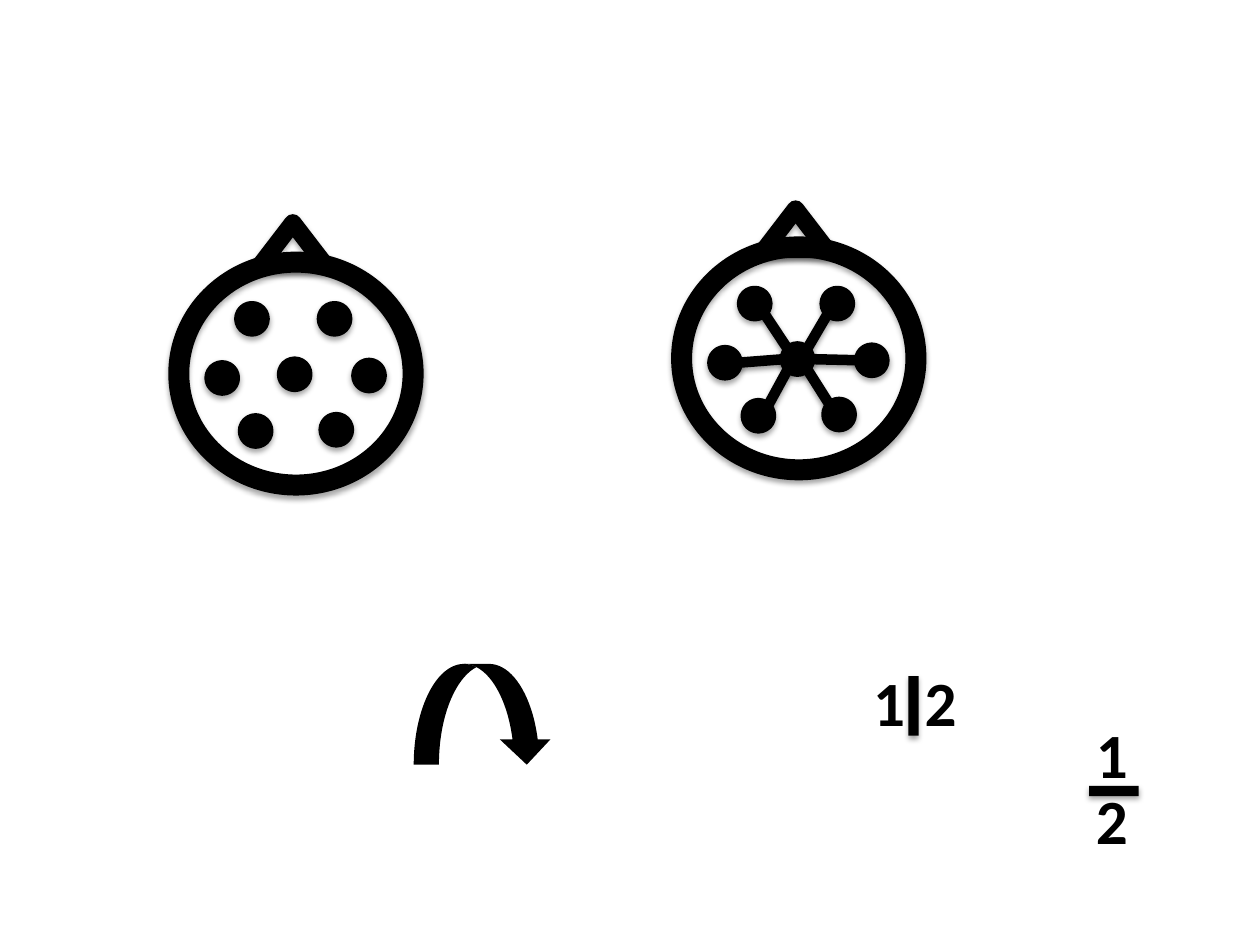
import math
from typing import NamedTuple, Optional

import pptx
import pptx.dml.color
import pptx.enum.shapes
import pptx.enum.text
import pptx.oxml
import pptx.oxml.ns
import pptx.util

Pt = pptx.util.Pt
SHAPE = pptx.enum.shapes.MSO_SHAPE
COLORS = {"ink": "000000"}
FONT = "Calibri"

RING_W, RING_H = 133.9, 127.4
NOSE_W, NOSE_H = 35.3, 23.0
DOT = 14.4


class Point(NamedTuple):
    x: float
    y: float


class Head(NamedTuple):
    left: float
    top: float
    nose_top: float
    has_spokes: bool


class Shadow(NamedTuple):
    blur: float
    distance: float
    opacity: int


class Label(NamedTuple):
    text: str
    left: float
    top: float


SHAPE_SHADOW = Shadow(3.1, 1.8, 35)
LINE_SHADOW = Shadow(3.1, 1.6, 38)

# Dot centres, measured from the corner of the ring
HUB = Point(66.2, 64.1)
OUTER_DOTS = [Point(41.8, 32.4), Point(89, 32.4), Point(108.7, 64.8),
              Point(24.8, 66.2), Point(43.9, 96.5), Point(90, 95.8)]
HEADS = [Head(102.2, 149.8, 127.4, False), Head(389.5, 141.1, 119.5, True)]

SIDE_LABELS = [Label("1", 491.8, 375.8), Label("2", 521.3, 375.8)]
FRACTION_LABELS = [Label("1", 619.2, 405.4), Label("2", 619.2, 442.8)]


def rgb(name: str) -> pptx.dml.color.RGBColor:
    return pptx.dml.color.RGBColor.from_string(COLORS[name])


def set_shadow(sp, shadow: Optional[Shadow]) -> None:
    """Replace the theme's shadow; call after the line has been set."""
    inner = ""
    if shadow:
        inner = (f'<a:outerShdw blurRad="{Pt(shadow.blur)}" dist="{Pt(shadow.distance)}" '
                 f'dir="5400000" rotWithShape="0"><a:srgbClr val="{COLORS["ink"]}">'
                 f'<a:alpha val="{shadow.opacity * 1000}"/></a:srgbClr></a:outerShdw>')
    ns = pptx.oxml.ns.nsdecls("a")
    sp._element.spPr.append(
        pptx.oxml.parse_xml(f"<a:effectLst {ns}>{inner}</a:effectLst>"))


def add_shape(shapes, kind, left: float, top: float, width: float, height: float, *,
              filled: bool = True, line: float = 0, round_join: bool = False,
              shadow: Optional[Shadow] = SHAPE_SHADOW):
    sp = shapes.add_shape(kind, Pt(left), Pt(top), Pt(width), Pt(height))
    if filled:
        sp.fill.solid()
        sp.fill.fore_color.rgb = rgb("ink")
    else:
        sp.fill.background()
    if line:
        sp.line.color.rgb = rgb("ink")
        sp.line.width = Pt(line)
    else:
        sp.line.fill.background()
    if round_join:
        ln = sp._element.spPr.find(pptx.oxml.ns.qn("a:ln"))
        ln.append(pptx.oxml.parse_xml(f'<a:round {pptx.oxml.ns.nsdecls("a")}/>'))
    set_shadow(sp, shadow)
    return sp


def add_spoke(shapes, dot: Point, hub: Point) -> None:
    """Join two dots at the rim points nearest in steps of 45 degrees."""
    step = math.pi / 4
    angle = round(math.atan2(hub.y - dot.y, hub.x - dot.x) / step) * step
    dx, dy = DOT / 2 * math.cos(angle), DOT / 2 * math.sin(angle)
    cxn = shapes.add_connector(pptx.enum.shapes.MSO_CONNECTOR.STRAIGHT,
                               Pt(dot.x + dx), Pt(dot.y + dy),
                               Pt(hub.x - dx), Pt(hub.y - dy))
    cxn.line.color.rgb = rgb("ink")
    cxn.line.width = Pt(6)
    set_shadow(cxn, LINE_SHADOW)


def add_head(shapes, head: Head) -> None:
    grp = shapes.add_group_shape().shapes
    add_shape(grp, SHAPE.OVAL, head.left, head.top, RING_W, RING_H,
              filled=False, line=12)
    add_shape(grp, SHAPE.ISOSCELES_TRIANGLE, head.left + 47.5, head.nose_top,
              NOSE_W, NOSE_H, filled=False, line=10, round_join=True)
    hub, *outer = [Point(head.left + p.x, head.top + p.y) for p in [HUB, *OUTER_DOTS]]
    for dot in [hub, *outer]:
        add_shape(grp, SHAPE.OVAL, dot.x - DOT / 2, dot.y - DOT / 2, DOT, DOT, line=6)
    if head.has_spokes:
        for dot in outer:
            add_spoke(grp, dot, hub)


def add_text(shapes, text: str, left: float, top: float, *, size: float = 36,
             bold: bool = True, color: str = "ink") -> None:
    tb = shapes.add_textbox(Pt(left), Pt(top), Pt(33.1), Pt(51.1))
    tf = tb.text_frame
    tf.word_wrap = False
    tf.auto_size = pptx.enum.text.MSO_AUTO_SIZE.SHAPE_TO_FIT_TEXT
    r = tf.paragraphs[0].add_run()
    r.text = text
    r.font.name = FONT
    r.font.size = Pt(size)
    r.font.bold = bold
    r.font.color.rgb = rgb(color)


def main() -> None:
    prs = pptx.Presentation()
    prs.slide_width, prs.slide_height = Pt(720), Pt(540)
    shapes = prs.slides.add_slide(prs.slide_layouts[6]).shapes

    # Heads with electrode dots
    for head in HEADS:
        add_head(shapes, head)

    # Curved arrow
    add_shape(shapes, SHAPE.CURVED_DOWN_ARROW, 236.4, 379.4, 79, 57.6, shadow=None)

    # Digits side by side, with an upright bar
    add_shape(shapes, SHAPE.RECTANGLE, 519.1, 386.4, 5.8, 34)
    for label in SIDE_LABELS:
        add_text(shapes, label.text, label.left, label.top)

    # Digits stacked as a fraction
    fraction = shapes.add_group_shape().shapes
    bar = add_shape(fraction, SHAPE.RECTANGLE, 633.6, 437.8, 5.8, 28.4)
    bar.rotation = 90
    for label in FRACTION_LABELS:
        add_text(fraction, label.text, label.left, label.top)

    prs.save("out.pptx")


if __name__ == "__main__":
    main()
